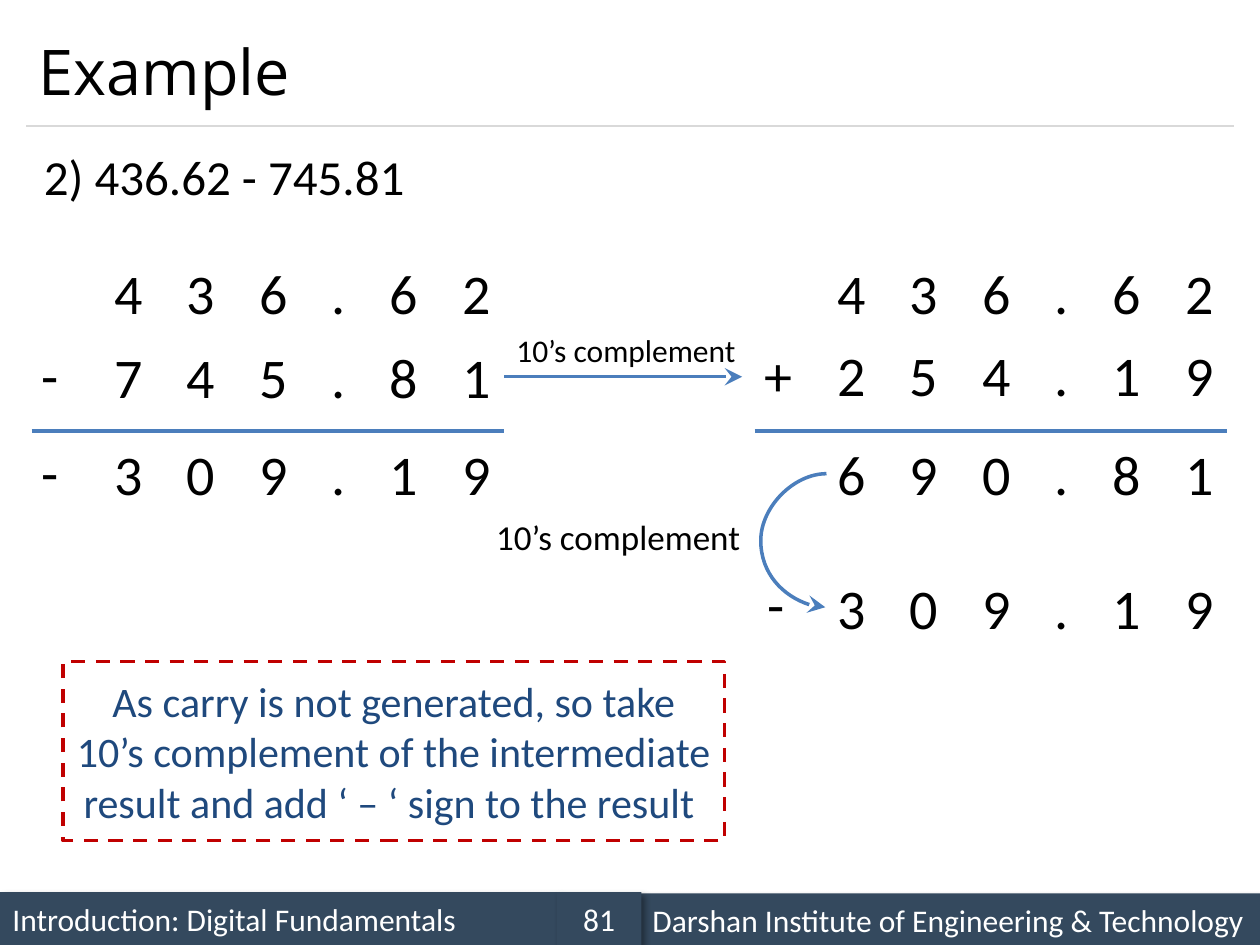
from dataclasses import dataclass

from lxml.etree import SubElement
from pptx import Presentation
from pptx.dml.color import RGBColor
from pptx.enum.dml import MSO_LINE_DASH_STYLE as Dash
from pptx.enum.shapes import MSO_CONNECTOR as Connector
from pptx.enum.shapes import MSO_SHAPE as Shape
from pptx.enum.text import MSO_ANCHOR as Anchor
from pptx.enum.text import MSO_AUTO_SIZE as AutoSize
from pptx.enum.text import PP_ALIGN as Align
from pptx.oxml.ns import qn
from pptx.util import Inches, Pt


@dataclass(frozen=True)
class Theme:
    body: str = "Calibri"
    heading: str = "Open Sans"
    black: str = "000000"
    white: str = "FFFFFF"
    slate: str = "34495E"
    gray: str = "D9D9D9"
    blue: str = "4B7EBC"
    navy: str = "1F497D"
    red: str = "C00000"
    title: int = 36
    digit: int = 32
    problem: int = 28
    note: int = 24
    label: int = 20
    small: int = 18


THEME = Theme()
COLUMNS = (0.81, 1.38, 1.96, 2.53, 2.99, 3.57)
RIGHT_SHIFT = 5.74
CELL_HEIGHT = 0.64


def rgb(color):
    return RGBColor.from_string(color)


def inches(*lengths):
    return [Inches(length) for length in lengths]


def write(shape, text, size, color, align=Align.LEFT, name=THEME.body, **frame_format):
    frame = shape.text_frame
    for key, value in frame_format.items():
        setattr(frame, key, value)
    para = frame.paragraphs[0]
    para.alignment = align
    span = para.add_run()
    span.text = text
    for key, value in {"name": name, "size": Pt(size)}.items():
        setattr(span.font, key, value)
    span.font.color.rgb = rgb(color)


def add_text(page, place, text, size):
    box = page.shapes.add_textbox(*inches(*place))
    write(box, text, size, THEME.black, word_wrap=False,
          auto_size=AutoSize.SHAPE_TO_FIT_TEXT)
    return box


def add_title(page, text):
    box = page.shapes.add_textbox(*inches(0.21, 0.12, 9.58, 0.88))
    write(box, text, THEME.title, THEME.black, name=THEME.heading,
          word_wrap=True, vertical_anchor=Anchor.MIDDLE)


def add_panel(page, place, text, size, color, align):
    panel = page.shapes.add_shape(Shape.RECTANGLE, *inches(*place))
    panel.shadow.inherit = False
    write(panel, text, size, color, align,
          word_wrap=True, vertical_anchor=Anchor.MIDDLE)
    return panel


def add_footer(page, place, text, align=Align.LEFT):
    panel = add_panel(page, place, text, THEME.small, THEME.white, align)
    panel.fill.solid()
    panel.fill.fore_color.rgb = rgb(THEME.slate)
    panel.line.fill.background()
    effects = panel._element.spPr.find(qn("a:effectLst"))
    shadow = SubElement(effects, qn("a:outerShdw"), blurRad=str(Pt(4)),
                        dist=str(Pt(3)), dir="2700000", algn="tl", rotWithShape="0")
    tint = SubElement(shadow, qn("a:srgbClr"), val=THEME.black)
    SubElement(tint, qn("a:alpha"), val="40000")


def add_note(page, place, text):
    panel = add_panel(page, place, text, THEME.note, THEME.navy, Align.CENTER)
    panel.fill.background()
    for key, value in {"width": Pt(2), "dash_style": Dash.DASH}.items():
        setattr(panel.line, key, value)
    panel.line.color.rgb = rgb(THEME.red)


def add_line(page, ends, color=THEME.blue, width=2, kind=Connector.STRAIGHT, arrow=False):
    line = page.shapes.add_connector(kind, *inches(*ends))
    line.line.width = Pt(width)
    line.line.color.rgb = rgb(color)
    if arrow:
        SubElement(line.line._get_or_add_ln(), qn("a:tailEnd"), type="stealth",
                   w="lg", len="lg")
    SubElement(line._element.spPr, qn("a:effectLst"))
    return line


def add_curve(page, ends, bulge):
    curve = add_line(page, ends, kind=Connector.CURVE, arrow=True)
    geometry = curve._element.spPr.find(qn("a:prstGeom"))
    guides = geometry.find(qn("a:avLst"))
    if guides is None:
        guides = SubElement(geometry, qn("a:avLst"))
    ratio = round(bulge / abs(ends[2] - ends[0]) * 100000)
    SubElement(guides, qn("a:gd"), name="adj1", fmla=f"val {ratio}")


def add_number(page, digits, top, shift=0):
    boxes = []
    for left, digit in zip(COLUMNS, digits):
        width = 0.32 if digit == "." else 0.43
        place = (left + shift, top, width, CELL_HEIGHT)
        boxes.append(add_text(page, place, digit, THEME.digit))
    return boxes


def main():
    deck = Presentation()
    deck.slide_width, deck.slide_height = inches(10, 7.5)
    page = deck.slides.add_slide(deck.slide_layouts[6])

    add_footer(page, (0, 7.08, 4.42, 0.42), "Introduction: Digital Fundamentals")
    add_line(page, (0.21, 1, 9.79, 1), THEME.gray, 0.75)
    add_footer(page, (5.08, 7.09, 4.92, 0.42),
               "Darshan Institute of Engineering & Technology")
    add_footer(page, (4.42, 7.08, 0.67, 0.42), "81", Align.CENTER)
    add_title(page, "Example")
    add_text(page, (0.25, 1.11, 3.11, 0.57), "2) 436.62 - 745.81", THEME.problem)

    add_number(page, "436.62", 2)
    subtrahend = add_number(page, "745.81", 2.67)
    add_number(page, "309.19", 3.44)
    for digits, top in (("436.62", 2), ("254.19", 2.65), ("690.81", 3.44), ("309.19", 4.5)):
        add_number(page, digits, top, RIGHT_SHIFT)

    for sign, left, top, width in (
        ("-", 0.23, 2.65, 0.34),
        ("-", 0.23, 3.42, 0.34),
        ("+", 5.97, 2.65, 0.43),
        ("-", 5.99, 4.47, 0.34),
    ):
        add_text(page, (left, top, width, CELL_HEIGHT), sign, THEME.digit)

    for shift in (0, RIGHT_SHIFT):
        add_line(page, (0.25 + shift, 3.42, 4 + shift, 3.42))

    add_text(page, (3.84, 4.04, 2.16, 0.44), "10’s complement", THEME.label)
    add_curve(page, (6.56, 3.76, 6.55, 4.82), 0.53)
    add_text(page, (4, 2.58, 1.96, 0.4), "10’s complement", THEME.small)
    arrow = add_line(page, (4, 2.99, 5.89, 2.99), arrow=True)
    arrow.begin_connect(subtrahend[-1], 3)

    add_note(page, (0.5, 5.25, 5.25, 1.42),
             "As carry is not generated, so take 10’s complement of the "
             "intermediate result and add ‘ – ‘ sign to the result ")
    deck.save("out.pptx")


if __name__ == "__main__":
    main()
